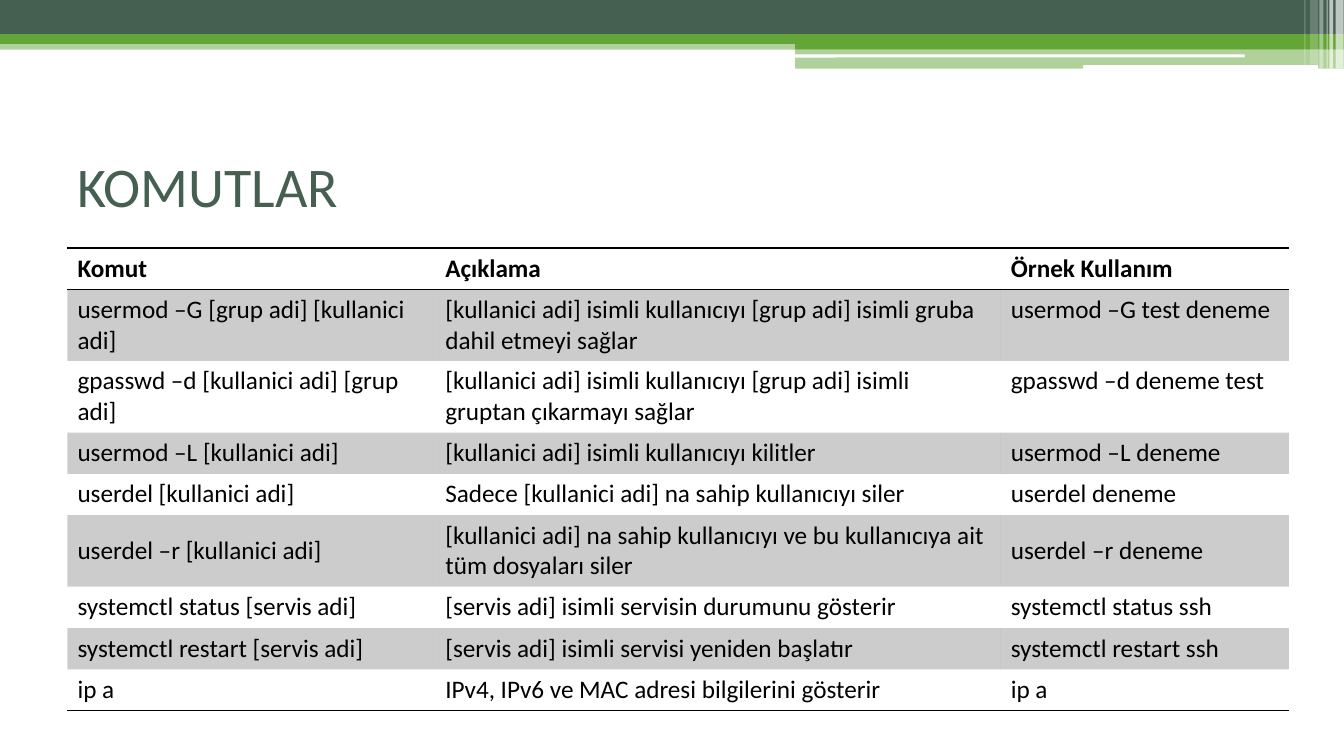
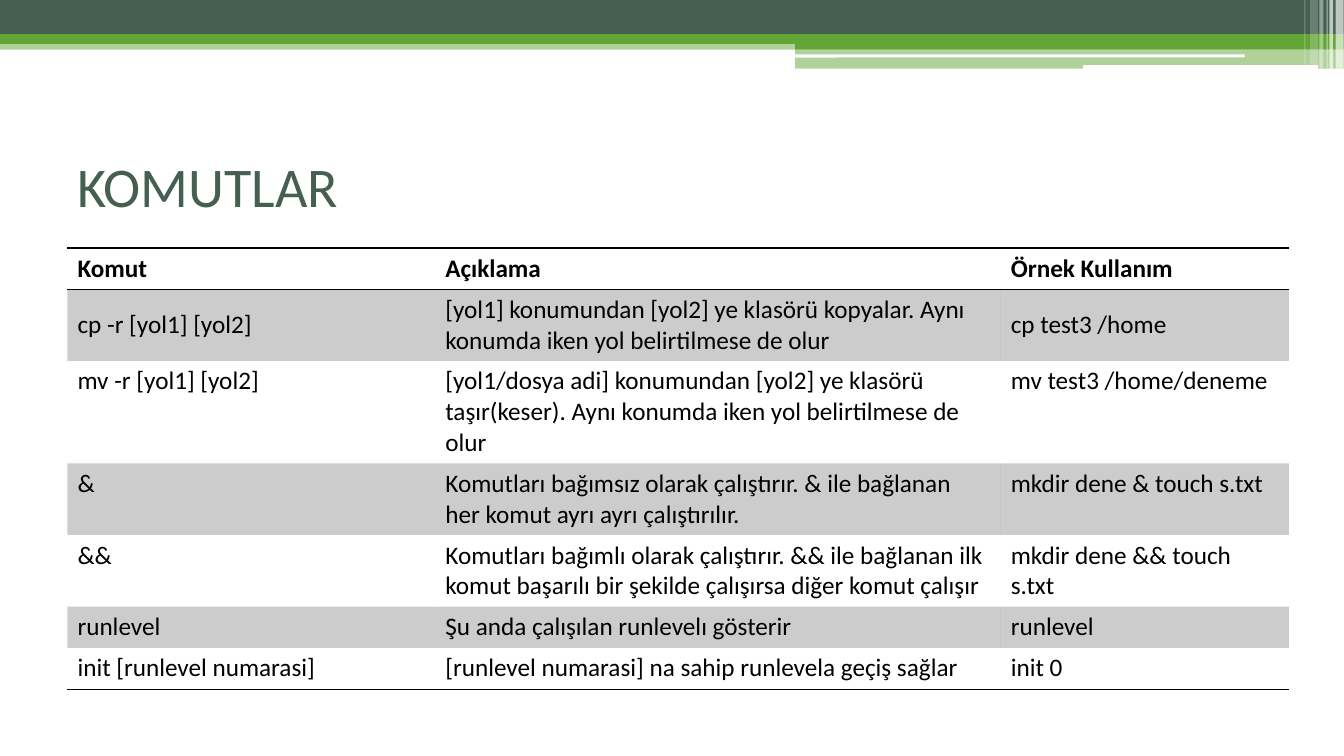
from lxml import etree
from pptx import Presentation
from pptx.dml.color import RGBColor
from pptx.enum import shapes, text
from pptx.oxml import ns
from pptx.util import Cm, Pt

DARK, GREEN, WHITE, BLACK = "455F51", "63A537", "FFFFFF", "000000"
FONT = "Calibri"
TITLE_ONLY = 5
NO_STYLE = "{2D5ABB26-0587-4C30-8999-92F81FD0307C}"
WIDTH, HEIGHT = 33.87, 19.05
RIGHT_BAND = 20.04

# left, top, width, height, colour, opacity in percent
BANDS = [
    (0, 1.02, WIDTH, 0.23, GREEN, 50),
    (0, 0, WIDTH, 0.86, DARK, 100),
    (0, 0.86, WIDTH, 0.25, GREEN, 100),
    (RIGHT_BAND, 0.99, WIDTH - RIGHT_BAND, 0.25, GREEN, 100),
    (RIGHT_BAND, 1.22, WIDTH - RIGHT_BAND, 0.51, GREEN, 50),
]
WHITE_LINES = [(20.02, 1.37, 11.35, 0.08), (27.3, 1.64, 5.92, 0.1)]
# left, width, height, opacity in percent
STRIPES = [
    (33.66, 0.2, 1.73, 65),
    (33.5, 0.1, 1.73, 65),
    (33.43, 0.03, 1.73, 60),
    (33.25, 0.1, 1.73, 40),
    (33.02, 0.2, 1.63, 20),
    (32.87, 0.03, 1.63, 30),
]

HEADER = ("Komut", "Açıklama", "Örnek Kullanım")
COLUMNS = (9.27, 14.25, 7.26)
ROW_HEIGHT = 1.04

USER_COMMANDS = [
    ("usermod –G [grup adi] [kullanici adi]",
     "[kullanici adi] isimli kullanıcıyı [grup adi] isimli gruba dahil etmeyi sağlar",
     "usermod –G test deneme"),
    ("gpasswd –d [kullanici adi] [grup adi]",
     "[kullanici adi] isimli kullanıcıyı [grup adi] isimli gruptan çıkarmayı sağlar",
     "gpasswd –d deneme test"),
    ("usermod –L [kullanici adi]",
     "[kullanici adi] isimli kullanıcıyı kilitler",
     "usermod –L deneme"),
    ("userdel [kullanici adi]",
     "Sadece [kullanici adi] na sahip kullanıcıyı siler",
     "userdel deneme"),
    ("userdel –r [kullanici adi]",
     "[kullanici adi] na sahip kullanıcıyı ve bu kullanıcıya ait tüm dosyaları siler",
     "userdel –r deneme"),
    ("systemctl status [servis adi]",
     "[servis adi] isimli servisin durumunu gösterir",
     "systemctl status ssh"),
    ("systemctl restart [servis adi]",
     "[servis adi] isimli servisi yeniden başlatır",
     "systemctl restart ssh"),
    ("ip a", "IPv4, IPv6 ve MAC adresi bilgilerini gösterir", "ip a"),
]
SHELL_COMMANDS = [
    ("cp -r [yol1] [yol2]",
     "[yol1] konumundan [yol2] ye klasörü kopyalar. Aynı konumda iken yol belirtilmese de olur",
     "cp test3 /home"),
    ("mv -r [yol1] [yol2]",
     "[yol1/dosya adi] konumundan [yol2] ye klasörü taşır(keser). "
     "Aynı konumda iken yol belirtilmese de olur",
     "mv test3 /home/deneme"),
    ("&",
     "Komutları bağımsız olarak çalıştırır. & ile bağlanan her komut ayrı ayrı çalıştırılır.",
     "mkdir dene & touch s.txt"),
    ("&&",
     "Komutları bağımlı olarak çalıştırır. && ile bağlanan ilk komut "
     "başarılı bir şekilde çalışırsa diğer komut çalışır",
     "mkdir dene && touch s.txt"),
    ("runlevel", "Şu anda çalışılan runlevelı gösterir", "runlevel"),
    ("init [runlevel numarasi]",
     "[runlevel numarasi] na sahip runlevela geçiş sağlar",
     "init 0"),
]


def rgb(color):
    return RGBColor.from_string(color)


def paint(fill, color, opacity=100):
    fill.solid()
    fill.fore_color.rgb = rgb(color)
    if opacity < 100:
        clr = fill._xPr.find(".//" + ns.qn("a:srgbClr"))
        etree.SubElement(clr, ns.qn("a:alpha"), val=str(opacity * 1000))


def set_border(cell, side):
    """Draw a 1 pt black line on side "T" or "B"; call before filling the cell."""
    tcPr = cell._tc.get_or_add_tcPr()
    ln = etree.SubElement(tcPr, ns.qn("a:ln" + side), w=str(Pt(1)))
    solid = etree.SubElement(ln, ns.qn("a:solidFill"))
    etree.SubElement(solid, ns.qn("a:srgbClr"), val=BLACK)


class Deck:
    def __init__(self):
        self.prs = Presentation()
        self.prs.slide_width, self.prs.slide_height = Cm(WIDTH), Cm(HEIGHT)
        self.layout = self.prs.slide_layouts[TITLE_ONLY]
        self.s = None

    def add_slide(self):
        self.s = self.prs.slides.add_slide(self.layout)

    def format_text(self, p, size, color, bold=False):
        p.alignment = text.PP_ALIGN.LEFT
        style = {"name": FONT, "size": Pt(size), "bold": bold}
        for r in p.runs:
            for key, value in style.items():
                setattr(r.font, key, value)
            r.font.color.rgb = rgb(color)

    def bar(self, left, top, width, height, color, opacity=100, rounded=False):
        kind = shapes.MSO_SHAPE.ROUNDED_RECTANGLE if rounded else shapes.MSO_SHAPE.RECTANGLE
        sp = self.s.shapes.add_shape(kind, Cm(left), Cm(top), Cm(width), Cm(height))
        sp.shadow.inherit = False
        sp.line.fill.background()
        paint(sp.fill, color, opacity)
        return sp

    def decorate_layout(self):
        """Draw the bands on the current slide, then move them behind the layout's placeholders."""
        bars = [self.bar(*band) for band in BANDS]
        bars += [self.bar(*line, WHITE, rounded=True) for line in WHITE_LINES]
        bars += [self.bar(left, 0, width, height, WHITE, opacity)
                 for left, width, height, opacity in STRIPES]
        tree = self.layout.shapes.element
        for i, sp in enumerate(bars):
            sp.element.nvSpPr.cNvPr.set("id", str(100 + i))
            tree.insert(2 + i, sp.element)

    def title(self, words):
        sp = self.s.shapes.title
        box = {"left": 1.7, "top": 3.18, "width": 30.48, "height": 2.97}
        for key, value in box.items():
            setattr(sp, key, Cm(value))
        tf = sp.text_frame
        tf.text = words
        tf.vertical_anchor = text.MSO_ANCHOR.MIDDLE
        self.format_text(tf.paragraphs[0], 40, DARK)

    def table(self, commands, middle_row):
        """Fill a banded table; middle_row is the row whose outer cells are centred vertically."""
        rows = [HEADER, *commands]
        frame = self.s.shapes.add_table(len(rows), len(COLUMNS), Cm(1.7), Cm(6.25),
                                        Cm(sum(COLUMNS)), Cm(ROW_HEIGHT * len(rows)))
        table = frame.table
        table.horz_banding = False
        table._tbl.tblPr.find(ns.qn("a:tableStyleId")).text = NO_STYLE
        for column, width in zip(table.columns, COLUMNS):
            column.width = Cm(width)
        for i, row in enumerate(rows):
            for j, words in enumerate(row):
                cell = table.cell(i, j)
                cell.text = words
                self.format_text(cell.text_frame.paragraphs[0], 18, BLACK, bold=i == 0)
                if i == middle_row and j != 1:
                    cell.vertical_anchor = text.MSO_ANCHOR.MIDDLE
                if i == 0:
                    set_border(cell, "T")
                if i in (0, len(rows) - 1):
                    set_border(cell, "B")
                if i % 2:
                    paint(cell.fill, BLACK, 20)
                else:
                    cell.fill.background()


def main():
    deck = Deck()
    for commands, middle_row in ((USER_COMMANDS, 5), (SHELL_COMMANDS, 1)):
        deck.add_slide()
        if len(deck.prs.slides) == 1:
            deck.decorate_layout()
        deck.title("KOMUTLAR")
        deck.table(commands, middle_row)
    deck.prs.save("out.pptx")


if __name__ == "__main__":
    main()
